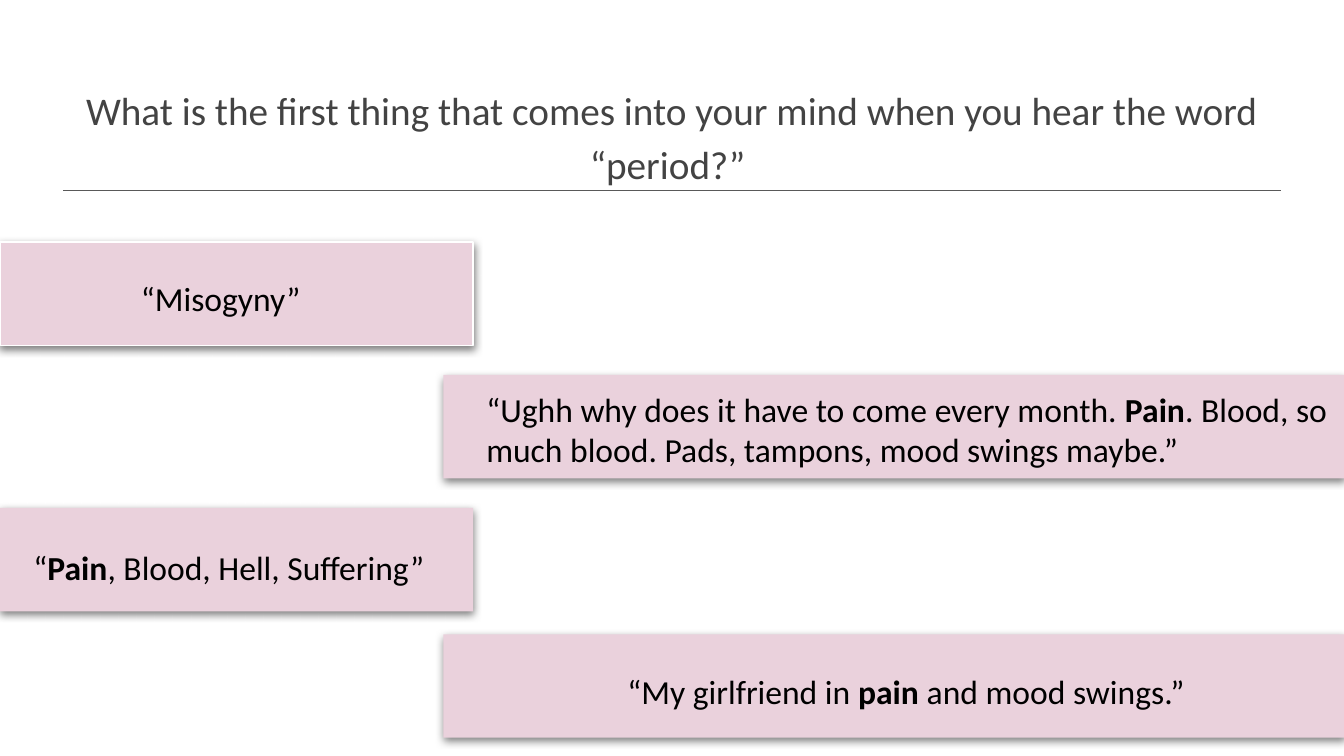
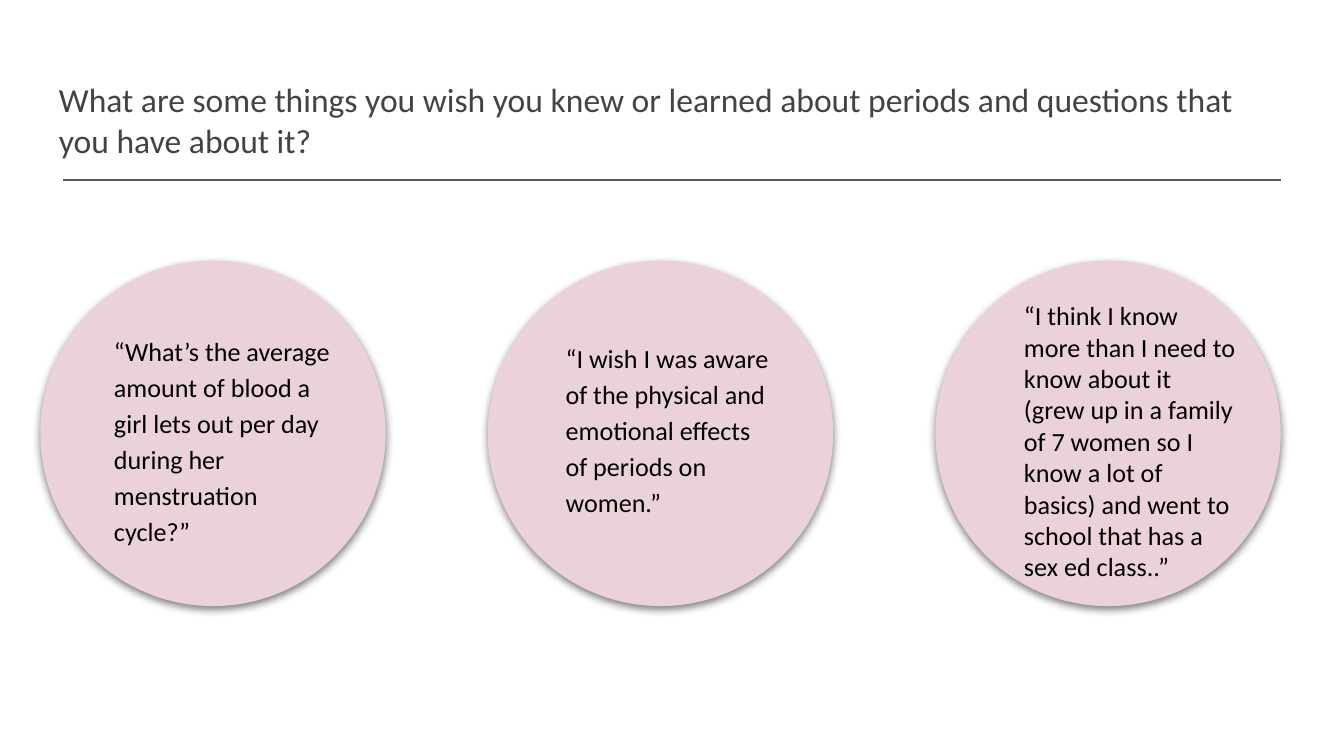
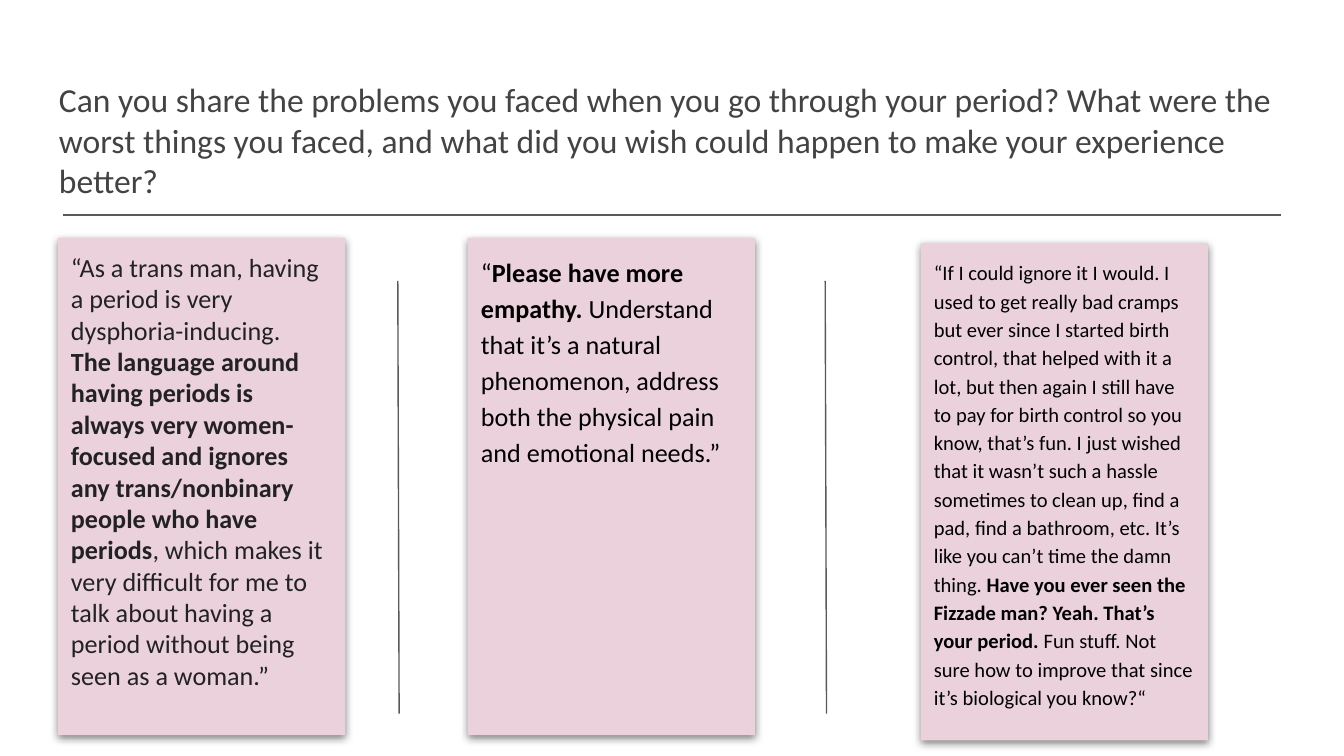
from lxml import etree
from pptx import Presentation
from pptx.dml.color import RGBColor
from pptx.enum.shapes import MSO_CONNECTOR, MSO_SHAPE
from pptx.enum.text import MSO_ANCHOR, PP_ALIGN
from pptx.oxml import parse_xml
from pptx.oxml.ns import nsdecls, qn
from pptx.util import Inches, Pt

RECTANGLE, OVAL = MSO_SHAPE.RECTANGLE, MSO_SHAPE.OVAL
LEFT, CENTER = PP_ALIGN.LEFT, PP_ALIGN.CENTER
STRAIGHT, TOP = MSO_CONNECTOR.STRAIGHT, MSO_ANCHOR.TOP

FONT = "Calibri"
PINK = RGBColor(0xEA, 0xD1, 0xDC)
WHITE = RGBColor(0xFF, 0xFF, 0xFF)
BLACK = RGBColor(0x00, 0x00, 0x00)
CHARCOAL = RGBColor(0x22, 0x22, 0x22)
TITLE_GRAY = RGBColor(0x43, 0x43, 0x43)
LINE_GRAY = RGBColor(0x59, 0x59, 0x59)

SHADOW = (
    f'<a:outerShdw {nsdecls("a")} blurRad="57150" dist="19050" dir="5400000" algn="bl" '
    'rotWithShape="0"><a:srgbClr val="000000"><a:alpha val="50000"/></a:srgbClr></a:outerShdw>'
)


def write(shape, text, size, spacing=1.0, color=BLACK, align=LEFT, indent=0):
    """Fill the shape with one paragraph; parts between ** marks are bold."""
    frame = shape.text_frame
    frame.word_wrap = True
    frame.vertical_anchor = TOP
    frame.margin_left = frame.margin_right = Inches(0.1)
    frame.margin_top = frame.margin_bottom = Inches(0.1)
    paragraph = frame.paragraphs[0]
    paragraph.alignment = align
    paragraph.line_spacing = spacing
    if indent:
        paragraph._p.get_or_add_pPr().set("marL", str(Inches(indent)))
    for index, part in enumerate(text.split("**")):
        run = paragraph.add_run()
        run.text = part
        run.font.name = FONT
        run.font.size = Pt(size)
        run.font.bold = index % 2 == 1
        run.font.color.rgb = color


def add_card(slide, kind, left, top, width, height):
    """Add a pink shape with a soft shadow below it."""
    card = slide.shapes.add_shape(
        kind, Inches(left), Inches(top), Inches(width), Inches(height))
    card.fill.solid()
    card.fill.fore_color.rgb = PINK
    card.line.fill.background()
    card.shadow.inherit = False
    card._element.spPr.find(qn("a:effectLst")).append(parse_xml(SHADOW))
    return card


presentation = Presentation()
presentation.slide_width = Inches(10)
presentation.slide_height = Inches(10) * 9 // 16

# Titles, the rules below them and the dividers between columns
headings = [
    ("What is the first thing that comes into your mind when you hear the word “period?” ",
     21, 1.15, CENTER, 1.0, 1.42, []),
    ("What are some things you wish you knew or learned about periods and questions that "
     "you have about it?", 18, 1.0, LEFT, 0.63, 1.34, []),
    ("Can you share the problems you faced when you go through your period? What were the "
     "worst things you faced, and what did you wish could happen to make your experience "
     "better?", 18, 1.0, LEFT, 0.63, 1.6, [2.96, 6.14]),
]
slides = []
for text, size, spacing, align, height, rule_top, dividers in headings:
    slide = presentation.slides.add_slide(presentation.slide_layouts[6])
    slides.append(slide)
    title = slide.shapes.add_textbox(Inches(0.34), Inches(0.49), Inches(9.32), Inches(height))
    write(title, text, size, spacing, TITLE_GRAY, align)
    if align == CENTER:
        title.fill.solid()
        title.fill.fore_color.rgb = WHITE
    lines = [(0.47, rule_top, 9.53, rule_top)]
    lines += [(left, 2.09, left + 0.01, 5.31) for left in dividers]
    for ends in lines:
        line = slide.shapes.add_connector(STRAIGHT, *[Inches(end) for end in ends])
        line.line.color.rgb = LINE_GRAY
        line.line.width = Pt(0.75)
        etree.SubElement(line._element.spPr, qn("a:effectLst"))

words_slide, wishes_slide, problems_slide = slides

# Slide 1: bands reaching in from the left and right edges
bands = [
    (0, 1.8, 3.52, (0.95, 1.97, 3.35, 0.43), "“Misogyny”", 1.0, 0),
    (3.3, 2.79, 6.7, (3.52, 2.79, 6.48, 0.51),
     "“Ughh why does it have to come every month. **Pain**. Blood, so much blood. "
     "Pads, tampons, mood swings maybe.”", 1.0, 0),
    (0, 3.78, 3.52, (0.15, 3.95, 3.35, 0.59), "“**Pain**, Blood, Hell, Suffering”", 1.07, 0),
    (3.3, 4.72, 6.7, (4.07, 4.85, 5.94, 0.51),
     "“My girlfriend in **pain** and mood swings.”", 1.15, 0.5),
]
for left, top, width, text_area, quote, spacing, indent in bands:
    band = add_card(words_slide, RECTANGLE, left, top, width, 0.77)
    if quote == "“Misogyny”":
        band.line.color.rgb = WHITE
        band.line.width = Pt(0.75)
    label = words_slide.shapes.add_textbox(*[Inches(length) for length in text_area])
    write(label, quote, 18, spacing, indent=indent)

# Slide 2: three circles, with the quotes on top
circles = [
    ((0.5, 2.36, 2.06, 1.49), "“What’s the average amount of blood a girl lets out per day "
     "during her menstruation cycle?”", 1.15, 0.25),
    ((4.11, 2.41, 1.78, 1.63), "“I wish I was aware of the physical and emotional effects of "
     "periods on women.”", 1.15, 0),
    ((7.52, 2.13, 1.78, 1.63), "“I think I know more than I need to know about it (grew up in "
     "a family of 7 women so I know a lot of basics) and went to school that has a sex ed "
     "class..”", 1.0, 0),
]
for column, (text_area, quote, spacing, indent) in enumerate(circles):
    add_card(wishes_slide, OVAL, 0.3 + 3.33 * column, 1.94, 2.57, 2.57)
    label = wishes_slide.shapes.add_textbox(*[Inches(length) for length in text_area])
    write(label, quote, 14, spacing, indent=indent)

# Slide 3: three tall cards
stories = [
    (0.43, 1.77, 14, 1.0, CHARCOAL, 0.15,
     "“As a trans man, having a period is very dysphoria-inducing. **The language around "
     "having periods is always very women-focused and ignores any trans/nonbinary people who "
     "have periods**, which makes it very difficult for me to talk about having a period "
     "without being seen as a woman.”"),
    (3.48, 1.77, 14, 1.15, BLACK, 0.1,
     "“**Please have more empathy. **Understand that it’s a natural phenomenon, address both "
     "the physical pain and emotional needs.”"),
    (6.85, 1.81, 11, 1.15, BLACK, 0.1,
     "“If I could ignore it I would. I used to get really bad cramps but ever since I started "
     "birth control, that helped with it a lot, but then again I still have to pay for birth "
     "control so you know, that’s fun. I just wished that it wasn’t such a hassle sometimes to "
     "clean up, find a pad, find a bathroom, etc. It’s like you can’t time the damn thing. "
     "**Have you ever seen the Fizzade man? Yeah. That’s your period.** Fun stuff. Not sure "
     "how to improve that since it’s biological you know?“"),
]
for left, top, size, spacing, color, margin_right, quote in stories:
    card = add_card(problems_slide, RECTANGLE, left, top, 2.14, 3.7)
    write(card, quote, size, spacing, color)
    card.text_frame.margin_right = Inches(margin_right)

presentation.save("out.pptx")
